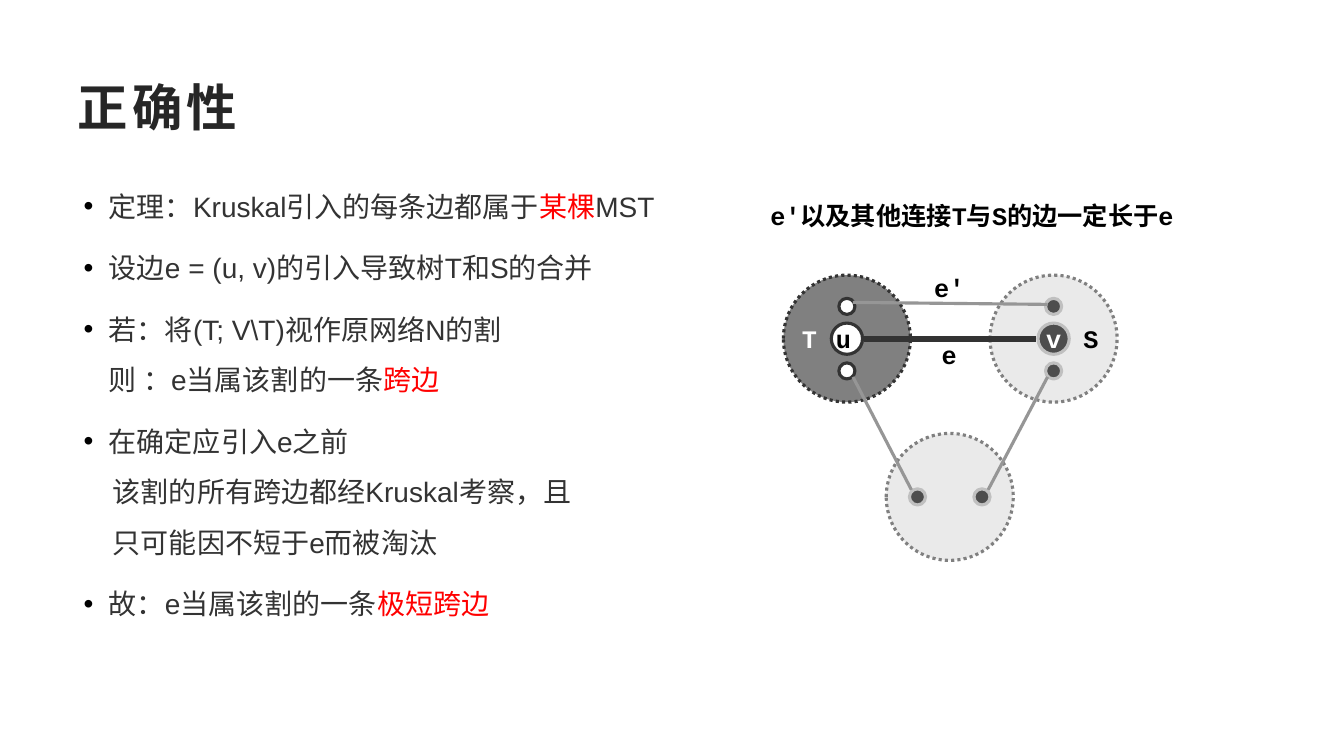
from collections import namedtuple
from dataclasses import dataclass

from lxml import etree
from pptx import Presentation
from pptx import util as u
from pptx.dml.color import RGBColor
from pptx.enum import dml, shapes, text
from pptx.oxml.ns import qn

PX = 9144
Box = namedtuple("Box", "x y w h")


@dataclass(frozen=True)
class Theme:
    body_font: str = "Arial"
    label_font: str = "Courier New"
    title_size: int = 36
    body_size: int = 20
    label_size: int = 18
    title: str = "262626"
    body: str = "333333"
    accent: str = "FF0000"
    black: str = "000000"
    white: str = "FFFFFF"
    dark: str = "333333"
    tree: str = "808080"
    pale: str = "EAEAEA"
    vertex: str = "4D4D4D"
    ring: str = "C0C0C0"
    edge: str = "969696"
    outline: float = 2.25
    bold_edge: float = 4.5


THEME = Theme()
CLUSTER, NODE, DOT, DOT_GAP = 126, 31, 16, 32
TAB_STOPS = ((29, "l"), (78, "l"), (107, "l"), (148, "l"), (873, "r"))
PROOF = (
    (("定理：Kruskal引入的每条边都属于", False), ("某棵", True), ("MST", False)),
    (("设边e = (u, v)的引入导致树T和S的合并", False),),
    (("若：将(T; V\\T)视作原网络N的割\v则 ：e当属该割的一条", False), ("跨边", True)),
    (("在确定应引入e之前\v\t该割的所有跨边都经Kruskal考察，且\v\t只可能因不短于e而被淘汰", False),),
    (("故：e当属该割的一条", False), ("极短跨边", True)),
)


def px(*lengths):
    return [u.Emu(length * PX) for length in lengths]


def rgb(color):
    return RGBColor.from_string(color)


def style_runs(runs, font, size, color, bold=False):
    for run in runs:
        run.font.name, run.font.size, run.font.bold = font, u.Pt(size), bold
        run.font.color.rgb = rgb(color)


def set_frame(frame, margins, anchor, wrap):
    frame.margin_left, frame.margin_top, frame.margin_right, frame.margin_bottom = px(*margins)
    frame.vertical_anchor, frame.word_wrap = anchor, wrap
    frame.auto_size = text.MSO_AUTO_SIZE.NONE


def add_bullet(paragraph):
    props = paragraph._p.get_or_add_pPr()
    props.set("marL", str(25 * PX))
    props.set("indent", str(-25 * PX))
    color = etree.SubElement(props, qn("a:buClr"))
    etree.SubElement(color, qn("a:srgbClr"), val=THEME.black)
    etree.SubElement(props, qn("a:buFont"), typeface=THEME.body_font)
    etree.SubElement(props, qn("a:buChar"), char="•")
    tabs = etree.SubElement(props, qn("a:tabLst"))
    for stop, align in TAB_STOPS:
        etree.SubElement(tabs, qn("a:tab"), pos=str(stop * PX), algn=align)


def place_title(slide, box, wording):
    title = slide.shapes.title
    title.left, title.top, title.width, title.height = px(*box)
    title.text_frame.text = wording
    set_frame(title.text_frame, (10, 5, 10, 5), text.MSO_ANCHOR.MIDDLE, True)
    heading = title.text_frame.paragraphs[0]
    heading.alignment = text.PP_ALIGN.LEFT
    style_runs(heading.runs, THEME.body_font, THEME.title_size, THEME.title, True)
    for run in heading.runs:
        run._r.get_or_add_rPr().set("spc", "300")


def place_proof(slide, box, steps):
    frame = slide.shapes.add_textbox(*px(*box)).text_frame
    set_frame(frame, (16, 8, 0, 8), text.MSO_ANCHOR.TOP, True)
    for index, step in enumerate(steps):
        paragraph = frame.add_paragraph() if index else frame.paragraphs[0]
        paragraph.line_spacing = 1.5
        paragraph.space_before = u.Pt(6 if index else 0)
        paragraph.space_after = u.Pt(2)
        add_bullet(paragraph)
        for wording, stressed in step:
            known = len(paragraph.runs)
            if known:
                paragraph.add_run().text = wording
            else:
                paragraph.text = wording
            color = THEME.accent if stressed else THEME.body
            style_runs(paragraph.runs[known:], THEME.body_font, THEME.body_size, color)


def write_label(frame, wording, color, align):
    frame.text = wording
    set_frame(frame, (0, 0, 0, 0), text.MSO_ANCHOR.MIDDLE, False)
    frame.paragraphs[0].alignment = align
    style_runs(frame.paragraphs[0].runs, THEME.label_font, THEME.label_size, color, True)


def add_label(slide, box, wording):
    label = slide.shapes.add_textbox(*px(*box))
    write_label(label.text_frame, wording, THEME.black, text.PP_ALIGN.CENTER)


def add_circle(slide, center, size, fill, line, dotted=False):
    x, y = center
    circle = slide.shapes.add_shape(
        shapes.MSO_SHAPE.OVAL, *px(x - size / 2, y - size / 2, size, size))
    circle.shadow.inherit = False
    circle.fill.solid()
    circle.fill.fore_color.rgb = rgb(fill)
    circle.line.color.rgb = rgb(line)
    circle.line.width = u.Pt(THEME.outline)
    if dotted:
        circle.line.dash_style = dml.MSO_LINE.ROUND_DOT
    return circle.text_frame


def add_edge(slide, start, end, color=THEME.edge, width=THEME.outline):
    edge = slide.shapes.add_connector(shapes.MSO_CONNECTOR.STRAIGHT, *px(*start, *end))
    edge.line.color.rgb = rgb(color)
    edge.line.width = u.Pt(width)
    etree.SubElement(edge._element.spPr, qn("a:effectLst"))


def place_cut(slide, box):
    radius = CLUSTER // 2
    tree_x, other_x = box.x + radius, box.x + box.w - radius
    rest_x, rest_y = box.x + box.w // 2, box.y + box.h - radius
    mid_y = box.y + radius
    upper, lower = mid_y - DOT_GAP, mid_y + DOT_GAP
    rest_left, rest_right = rest_x - DOT_GAP, rest_x + DOT_GAP
    align = text.PP_ALIGN

    tree_t = add_circle(slide, (tree_x, mid_y), CLUSTER, THEME.tree, THEME.dark, True)
    write_label(tree_t, "T", THEME.white, align.LEFT)
    tree_s = add_circle(slide, (other_x, mid_y), CLUSTER, THEME.pale, THEME.tree, True)
    write_label(tree_s, "S", THEME.black, align.RIGHT)
    add_circle(slide, (rest_x, rest_y), CLUSTER, THEME.pale, THEME.tree, True)

    vertex_v = add_circle(slide, (other_x, mid_y), NODE, THEME.vertex, THEME.ring)
    write_label(vertex_v, "v", THEME.white, align.CENTER)
    vertex_u = add_circle(slide, (tree_x, mid_y), NODE, THEME.white, THEME.dark)
    write_label(vertex_u, "u", THEME.black, align.LEFT)
    add_edge(slide, (tree_x + 17, mid_y), (other_x - 17, mid_y), THEME.dark, THEME.bold_edge)

    for y in (upper, lower):
        add_circle(slide, (tree_x, y), DOT, THEME.white, THEME.dark)
        add_circle(slide, (other_x, y), DOT, THEME.vertex, THEME.ring)
    for x in (rest_left, rest_right):
        add_circle(slide, (x, rest_y), DOT, THEME.vertex, THEME.ring)

    add_edge(slide, (other_x - 6, lower + 6), (rest_right + 6, rest_y - 7))
    add_edge(slide, (tree_x + 6, lower + 6), (rest_left - 6, rest_y - 7))
    add_edge(slide, (other_x - 6, upper - 2), (tree_x + 6, upper - 4))

    for wording, y in (("e'", box.y - 3), ("e", mid_y)):
        add_label(slide, (rest_x - 16, y, NODE, NODE), wording)


def main():
    deck = Presentation()
    deck.slide_width, deck.slide_height = px(1333, 750)
    slide = deck.slides.add_slide(deck.slide_layouts[5])
    place_title(slide, Box(67, 67, 1200, 77), "正确性")
    place_proof(slide, Box(67, 163, 1200, 520), PROOF)
    place_cut(slide, Box(777, 273, 331, 283))
    add_label(slide, Box(832, 198, 264, 31), "e'以及其他连接T与S的边一定长于e")
    deck.save("out.pptx")


if __name__ == "__main__":
    main()
